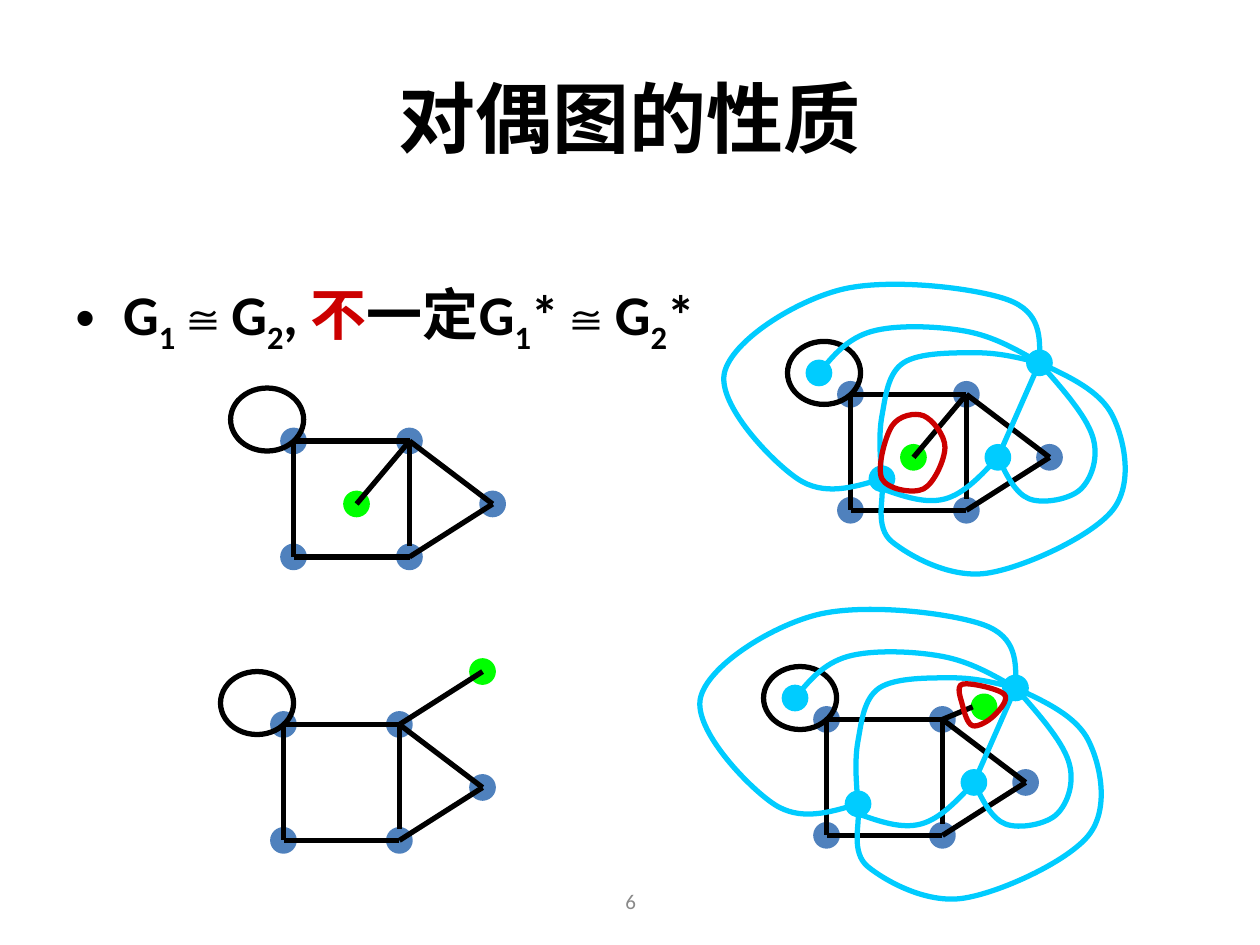
import pptx
import pptx.util
import pptx.dml.color
import pptx.enum.shapes
import pptx.enum.text
import pptx.oxml
import pptx.oxml.ns
from lxml import etree

Inches = pptx.util.Inches
Pt = pptx.util.Pt
RGBColor = pptx.dml.color.RGBColor
ALIGN = pptx.enum.text.PP_ALIGN
ANCHOR = pptx.enum.text.MSO_ANCHOR
qn = pptx.oxml.ns.qn

BLACK = RGBColor(0x00, 0x00, 0x00)
GRAY = RGBColor(0x89, 0x89, 0x89)
BLUE = RGBColor(0x4F, 0x81, 0xBD)
GREEN = RGBColor(0x00, 0xFF, 0x00)
CYAN = RGBColor(0x00, 0xCC, 0xFF)
RED = RGBColor(0xCC, 0x00, 0x00)

DOT = 0.17
LOOP_W, LOOP_H = 0.58, 0.5
LOOP_DX, LOOP_DY = -0.5, -0.42

TOP_LEFT, BOTTOM_LEFT, BOTTOM_RIGHT, TOP_RIGHT = (0, 0), (0, 0.92), (0.92, 0.92), (0.92, 0)
APEX = (1.58, 0.5)
VERTICES = [TOP_LEFT, BOTTOM_LEFT, BOTTOM_RIGHT, TOP_RIGHT, APEX]
EDGES = [
    (TOP_LEFT, BOTTOM_LEFT),
    (BOTTOM_LEFT, BOTTOM_RIGHT),
    (TOP_LEFT, TOP_RIGHT),
    (TOP_RIGHT, (0.92, 0.83)),
    (TOP_RIGHT, APEX),
    (BOTTOM_RIGHT, APEX),
]

LOOP_FACE, SQUARE_FACE, TRIANGLE_FACE, OUTER_FACE = (-0.25, -0.17), (0.25, 0.67), (1.17, 0.5), (1.5, -0.25)
DUAL_VERTICES = [LOOP_FACE, SQUARE_FACE, TRIANGLE_FACE, OUTER_FACE]
DUAL_CURVES = [
    [SQUARE_FACE, (0.25, 0.17), (0.42, -0.25), (1, -0.33), OUTER_FACE],
    [TRIANGLE_FACE, (1.42, 0.83), (1.83, 0.75), (1.92, 0.33), OUTER_FACE],
    [(0.25, 0.75), (0.75, 0.83), TRIANGLE_FACE],
    [LOOP_FACE, (0.17, -0.5), (0.92, -0.5), OUTER_FACE],
    [SQUARE_FACE, (0.25, 0.75), (0.33, 1.17), (1.08, 1.42), (2.08, 0.92), (2.08, 0.17), OUTER_FACE],
    [SQUARE_FACE, (-0.42, 0.67), (-1, -0.17), (-0.08, -0.83), (1.25, -0.75), OUTER_FACE],
]
INNER_RING = [(0.25, 0.67), (0.33, 0.25), (0.58, 0.17), (0.75, 0.42), (0.58, 0.75)]
OUTER_RING = [(1.41, -0.2), (1.08, -0.28), (1.08, -0.11), (1.16, 0.05), (1.33, -0.03)]

STATEMENT = ["G", "1", "≅", "G", "2", ", ", "不", "一定G", "1", "*", "≅", "G", "2", "*"]


def add_ellipse(slide, x, y, w, h, color, filled=True):
    s = slide.shapes.add_shape(pptx.enum.shapes.MSO_SHAPE.OVAL, Inches(x), Inches(y), Inches(w), Inches(h))
    s.shadow.inherit = False
    if filled:
        s.fill.solid()
        s.fill.fore_color.rgb = color
    else:
        s.fill.background()
    s.line.color.rgb = color
    s.line.width = Pt(3)


def add_dot(slide, x, y, color):
    add_ellipse(slide, x - DOT / 2, y - DOT / 2, DOT, DOT, color)


def add_edge(slide, x, y, start, end, color):
    c = slide.shapes.add_connector(
        pptx.enum.shapes.MSO_CONNECTOR.STRAIGHT,
        Inches(x + start[0]), Inches(y + start[1]), Inches(x + end[0]), Inches(y + end[1]))
    c.line.color.rgb = color
    c.line.width = Pt(3)
    etree.SubElement(c._element.spPr, qn("a:effectLst"))


def offset(a, b, c, k):
    return tuple(p + (r - q) * k for p, q, r in zip(a, b, c))


def spline(knots, closed):
    n = len(knots)
    points = [knots[0]]
    for i in range(n if closed else n - 1):
        a, b = knots[i], knots[(i + 1) % n]
        c1 = offset(a, knots[i - 1], b, 1 / 6)
        c2 = offset(b, knots[(i + 2) % n], a, 1 / 6)
        if not closed and i == 0:
            c1 = offset(a, a, c2, 1 / 2)
        if not closed and i == n - 2:
            c2 = offset(b, b, c1, 1 / 2)
        points += [c1, c2, b]
    return points


def add_curve(slide, x, y, knots, color, closed=False):
    points = [(Inches(x + px), Inches(y + py)) for px, py in spline(knots, closed)]
    builder = slide.shapes.build_freeform(*points[0])
    builder.add_line_segments(points[1:], close=closed)
    s = builder.convert_to_shape()
    segments = list(s._element.iter(qn("a:lnTo")))
    for i in range(0, len(segments), 3):
        bezier = pptx.oxml.parse_xml(f"<a:cubicBezTo {pptx.oxml.ns.nsdecls('a')}/>")
        segments[i].addprevious(bezier)
        for segment in segments[i:i + 3]:
            bezier.append(segment[0])
            segment.getparent().remove(segment)
    s.shadow.inherit = False
    s.fill.background()
    s.line.color.rgb = color
    s.line.width = Pt(3)


def draw_graph(slide, x, y, pendant, tip):
    for dx, dy in VERTICES:
        add_dot(slide, x + dx, y + dy, BLUE)
    for start, end in EDGES:
        add_edge(slide, x, y, start, end, BLACK)
    add_dot(slide, x + pendant[0], y + pendant[1], GREEN)
    add_edge(slide, x, y, tip, TOP_RIGHT, BLACK)
    add_ellipse(slide, x + LOOP_DX, y + LOOP_DY, LOOP_W, LOOP_H, BLACK, filled=False)


def draw_dual(slide, x, y, ring):
    for dx, dy in DUAL_VERTICES:
        add_dot(slide, x + dx, y + dy, CYAN)
    add_edge(slide, x, y, TRIANGLE_FACE, OUTER_FACE, CYAN)
    for knots in DUAL_CURVES:
        add_curve(slide, x, y, knots, CYAN)
    add_curve(slide, x, y, ring, RED, closed=True)


def add_text(slide, x, y, w, h, anchor, align):
    tf = slide.shapes.add_textbox(Inches(x), Inches(y), Inches(w), Inches(h)).text_frame
    tf.word_wrap = True
    tf.vertical_anchor = anchor
    p = tf.paragraphs[0]
    p.alignment = align
    return p


def add_run(p, text, size, color, bold=False, font="Calibri", baseline=0):
    r = p.add_run()
    r.text = text
    r.font.name = font
    r.font.size = Pt(size)
    r.font.bold = bold
    r.font.color.rgb = color
    if baseline:
        r.font._element.set("baseline", str(baseline * 1000))


def draw_title(slide, x, y, w, h):
    add_run(add_text(slide, x, y, w, h, ANCHOR.MIDDLE, ALIGN.CENTER), "对偶图的性质", 44, BLACK, bold=True)


def draw_statement(slide, x, y, w, h):
    p = add_text(slide, x, y, w, h, ANCHOR.TOP, ALIGN.LEFT)
    pPr = p._p.get_or_add_pPr()
    pPr.set("marL", str(Inches(0.38)))
    pPr.set("indent", str(Inches(-0.38)))
    etree.SubElement(pPr, qn("a:buFont")).set("typeface", "Arial")
    etree.SubElement(pPr, qn("a:buChar")).set("char", "•")
    for text in STATEMENT:
        add_run(
            p, text, 32, RED if text == "不" else BLACK, bold=True,
            font="Arial" if text == "≅" else "Calibri",
            baseline=-25 if text.isdigit() else 0)


def draw_page_number(slide, x, y, w, h):
    add_run(add_text(slide, x, y, w, h, ANCHOR.MIDDLE, ALIGN.CENTER), "6", 12, GRAY)


def main():
    prs = pptx.Presentation()
    prs.slide_width, prs.slide_height = Inches(10), Inches(7.5)
    slide = prs.slides.add_slide(prs.slide_layouts[6])
    draw_page_number(slide, 3.42, 6.95, 3.17, 0.4)
    draw_title(slide, 0.5, 0.3, 9, 1.25)
    draw_statement(slide, 0.5, 2.17, 9, 3.07)
    draw_graph(slide, 2.33, 3.5, (0.5, 0.5), (0.5, 0.5))
    draw_graph(slide, 6.56, 5.71, (1.25, -0.1), (1.16, -0.1))
    draw_dual(slide, 6.56, 5.71, OUTER_RING)
    draw_graph(slide, 2.25, 5.75, (1.58, -0.42), (1.58, -0.42))
    draw_graph(slide, 6.75, 3.13, (0.5, 0.5), (0.5, 0.5))
    draw_dual(slide, 6.75, 3.13, INNER_RING)
    prs.save("out.pptx")


if __name__ == "__main__":
    main()
